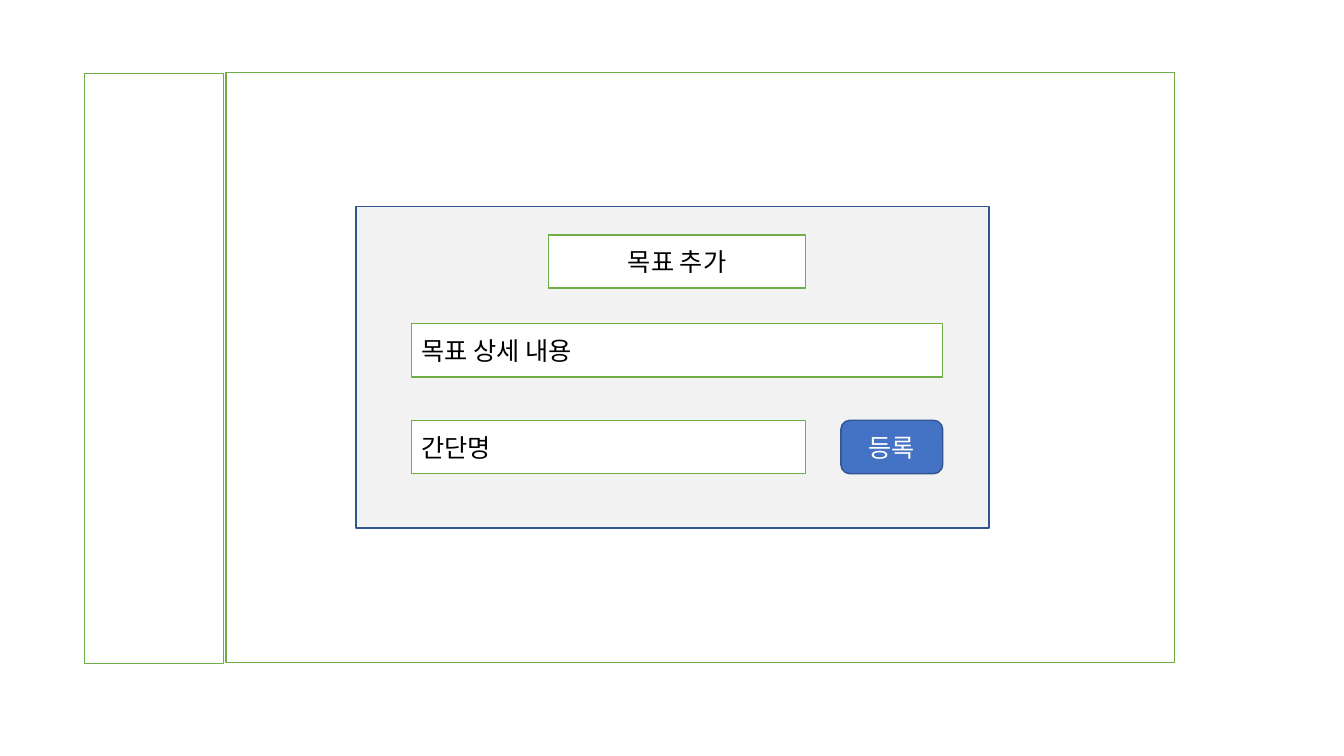
from dataclasses import dataclass

from lxml import etree
from pptx import Presentation
from pptx.dml.color import RGBColor
from pptx.enum import shapes, text
from pptx.oxml import ns
from pptx.slide import Slide
from pptx import util as u

EMU_PER_PX = 9144
FONT = "Noto Sans CJK KR"
WHITE = RGBColor(0xFF, 0xFF, 0xFF)
BLACK = RGBColor(0x00, 0x00, 0x00)
GRAY = RGBColor(0xF2, 0xF2, 0xF2)
GREEN = RGBColor(0x70, 0xAD, 0x47)
BLUE = RGBColor(0x44, 0x72, 0xC4)
NAVY = RGBColor(0x32, 0x54, 0x91)

RECT = shapes.MSO_SHAPE.RECTANGLE
ROUNDED = shapes.MSO_SHAPE.ROUNDED_RECTANGLE
LEFT = text.PP_ALIGN.LEFT
CENTER = text.PP_ALIGN.CENTER

FIELD_LEFT = 408
FIELD_HEIGHT = 53
LAST_ROW_TOP = 417


@dataclass(frozen=True)
class Box:
    left: int
    top: int
    width: int
    height: int
    label: str = ""
    align: text.PP_ALIGN = LEFT
    fill: RGBColor = WHITE
    line: RGBColor = GREEN
    color: RGBColor = BLACK
    kind: shapes.MSO_SHAPE = RECT


BOXES = [
    Box(224, 72, 941, 585),
    Box(84, 73, 138, 585),
    Box(353, 205, 628, 319, fill=GRAY, line=NAVY),
    Box(544, 233, 255, FIELD_HEIGHT, "목표 추가", CENTER),
    Box(FIELD_LEFT, 321, 527, FIELD_HEIGHT, "목표 상세 내용"),
    Box(FIELD_LEFT, LAST_ROW_TOP, 391, FIELD_HEIGHT, "간단명"),
    Box(834, LAST_ROW_TOP, 101, FIELD_HEIGHT, "등록", CENTER,
        BLUE, NAVY, WHITE, ROUNDED),
]


def px(value: int) -> u.Emu:
    return u.Emu(value * EMU_PER_PX)


def draw_box(s: Slide, box: Box) -> None:
    sp = s.shapes.add_shape(
        box.kind, px(box.left), px(box.top), px(box.width), px(box.height)
    )
    sp.shadow.inherit = False
    sp.fill.solid()
    sp.fill.fore_color.rgb = box.fill
    sp.line.color.rgb = box.line
    sp.line.width = u.Pt(1)
    if not box.label:
        return
    tf = sp.text_frame
    tf.text = box.label
    tf.word_wrap = True
    tf.vertical_anchor = text.MSO_ANCHOR.MIDDLE
    p = tf.paragraphs[0]
    p.alignment = box.align
    r = p.runs[0]
    r.font.size = u.Pt(18)
    r.font.color.rgb = box.color
    r.font.name = FONT
    etree.SubElement(r._r.get_or_add_rPr(), ns.qn("a:ea"), typeface=FONT)


def main() -> None:
    prs = Presentation()
    prs.slide_width, prs.slide_height = px(1333), px(750)
    s = prs.slides.add_slide(prs.slide_layouts[6])
    for box in BOXES:
        draw_box(s, box)
    prs.save("out.pptx")


if __name__ == "__main__":
    main()
